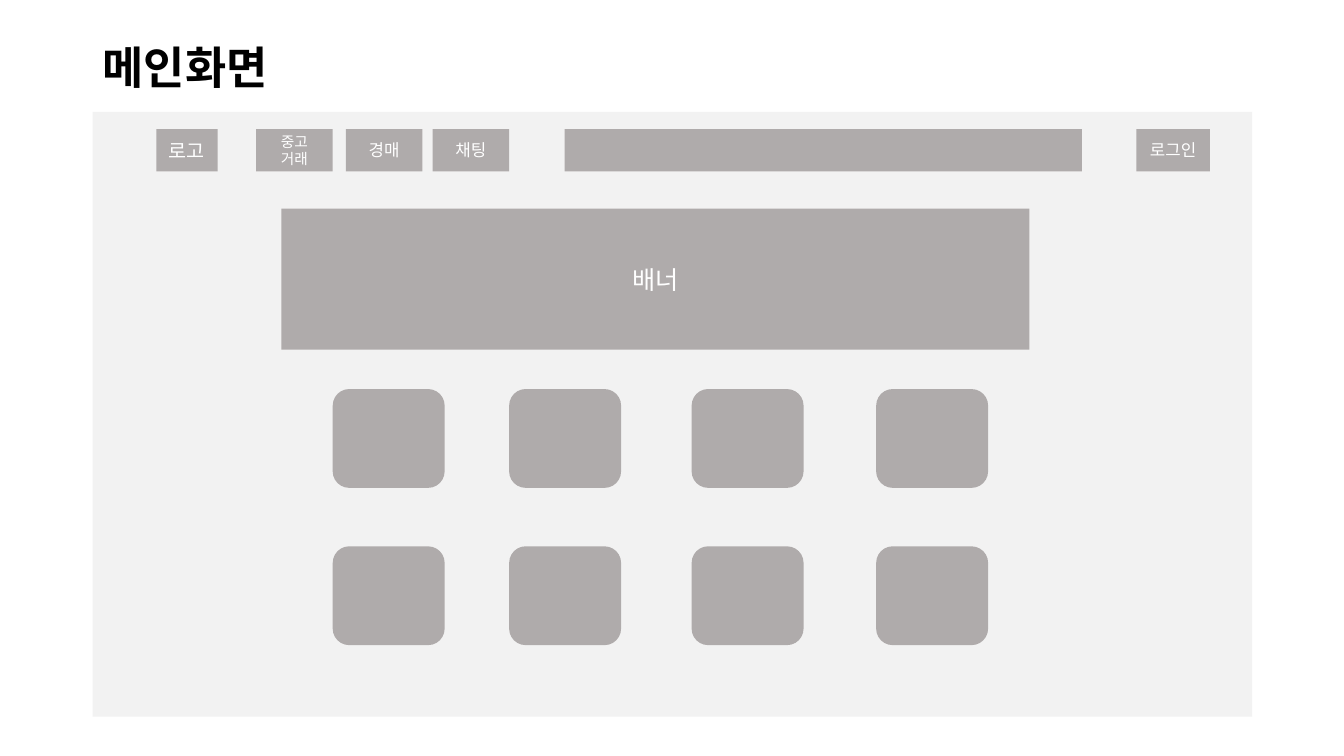
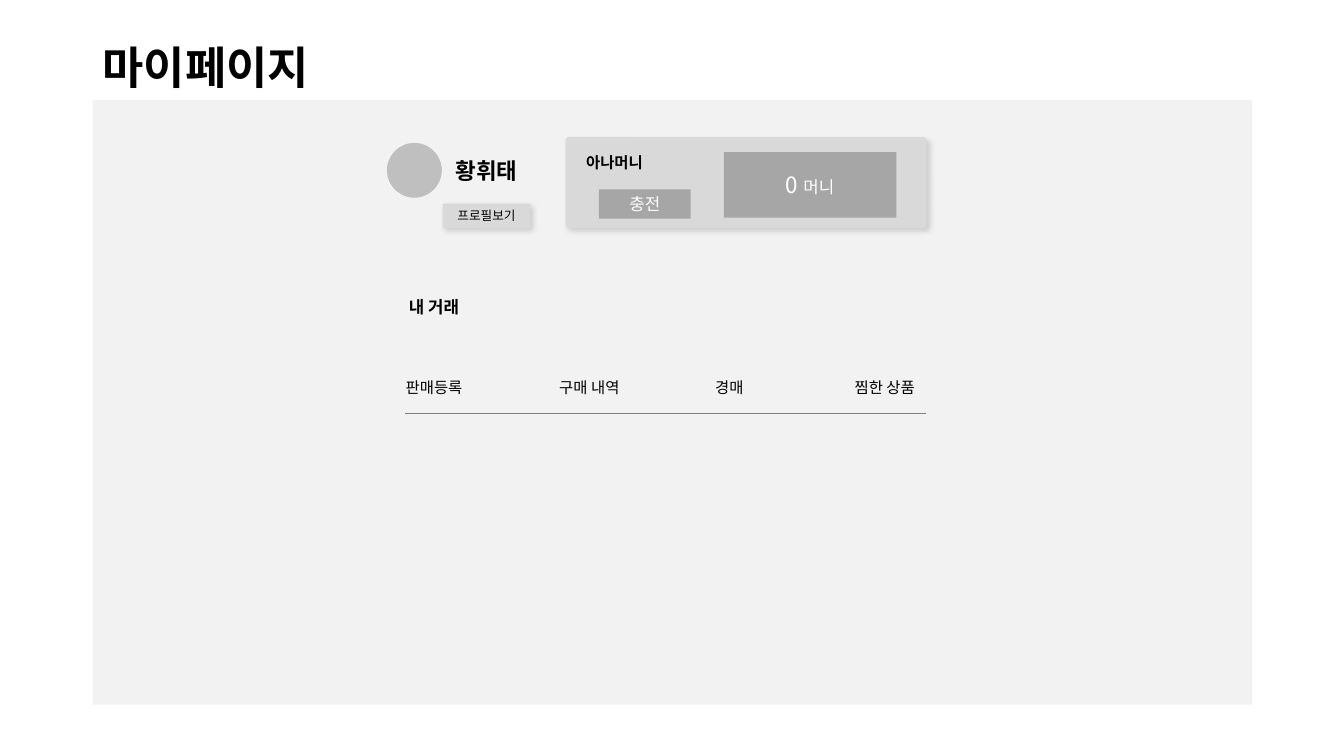
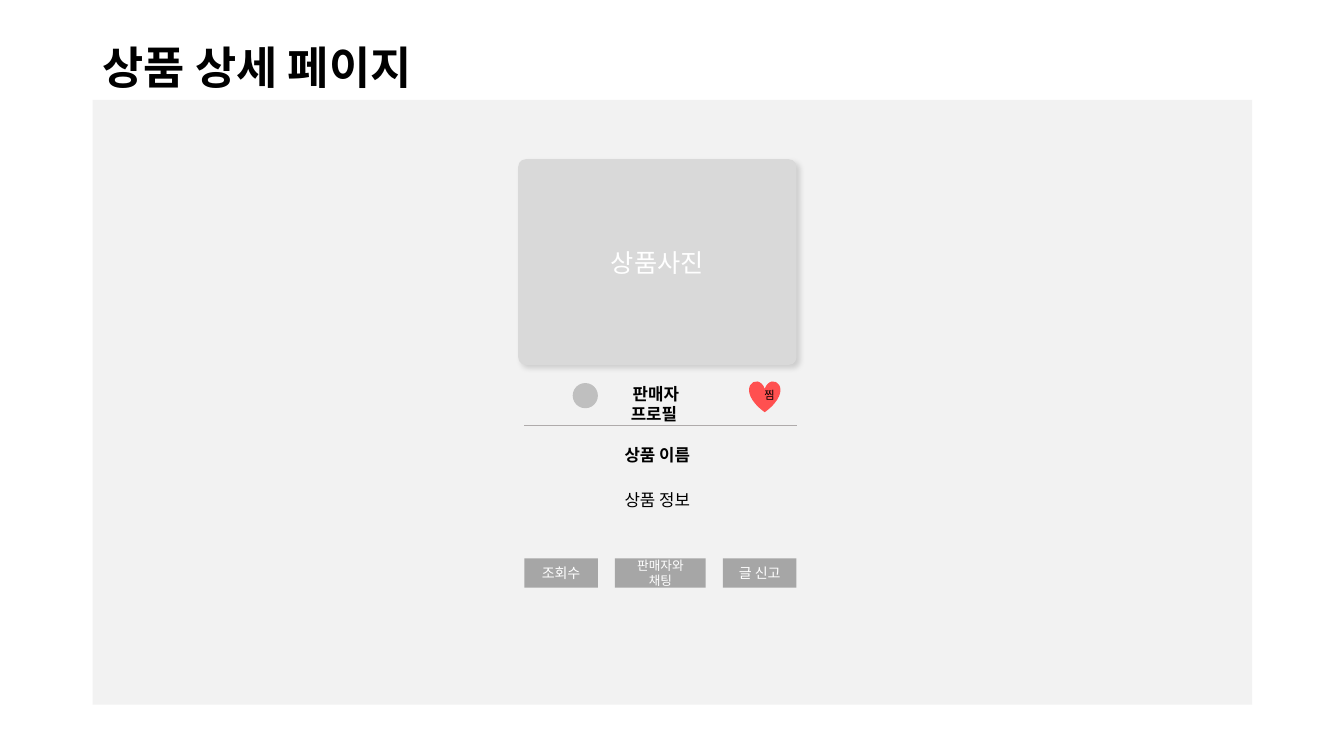
from lxml import etree
from pptx import Presentation
from pptx.dml.color import RGBColor
from pptx.enum.shapes import MSO_CONNECTOR, MSO_SHAPE
from pptx.enum.text import MSO_ANCHOR, PP_ALIGN
from pptx.oxml.ns import qn
from pptx.util import Emu, Pt

PX = 9144  # 100 px to the inch
FONT = "Noto Sans CJK KR"

BLACK = RGBColor(0x00, 0x00, 0x00)
WHITE = RGBColor(0xFF, 0xFF, 0xFF)
PANEL = RGBColor(0xF2, 0xF2, 0xF2)
CARD = RGBColor(0xD9, 0xD9, 0xD9)
AVATAR = RGBColor(0xBF, 0xBF, 0xBF)
WARM_GRAY = RGBColor(0xAF, 0xAB, 0xAB)
BUTTON = RGBColor(0xA6, 0xA6, 0xA6)
RULE = RGBColor(0x80, 0x80, 0x80)
HEART_RED = RGBColor(0xFF, 0x50, 0x50)

RECT = MSO_SHAPE.RECTANGLE
ROUNDED = MSO_SHAPE.ROUNDED_RECTANGLE
OVAL = MSO_SHAPE.OVAL
HEART = MSO_SHAPE.HEART
STRAIGHT = MSO_CONNECTOR.STRAIGHT
LEFT = PP_ALIGN.LEFT
CENTER = PP_ALIGN.CENTER
MIDDLE = MSO_ANCHOR.MIDDLE


def px(*lengths):
    return [Emu(length * PX) for length in lengths]


def format_span(span, size, color, bold=False):
    """Style a run, naming the font for Latin and Korean letters alike."""
    font = span.font
    font.name = FONT
    font.size = Pt(size)
    font.bold = bold
    font.color.rgb = color
    latin = font._element.find(qn("a:latin"))
    east_asian = etree.Element(qn("a:ea"), typeface=FONT)
    latin.addnext(east_asian)


def write(box, text, size, color, bold=False, align=CENTER):
    para = box.text_frame.paragraphs[0]
    para.text = text
    para.alignment = align
    format_span(para.runs[0], size, color, bold)
    return para


def add_shape(page, kind, area, fill, text="", size=12, color=WHITE):
    shape = page.shapes.add_shape(kind, *px(*area))
    shape.shadow.inherit = False
    shape.fill.solid()
    shape.fill.fore_color.rgb = fill
    shape.line.fill.background()
    if text:
        write(shape, text, size, color)
    return shape


def add_card(page, area, text="", size=12, color=WHITE):
    """Add a slightly rounded card with a soft shadow to the lower right."""
    card = add_shape(page, ROUNDED, area, CARD, text, size, color)
    card.adjustments[0] = 0.037
    effects = card._element.spPr.find(qn("a:effectLst"))
    shadow = etree.SubElement(
        effects, qn("a:outerShdw"), blurRad=str(Pt(4)), dist=str(Pt(3)),
        dir=str(45 * 60000), algn="tl", rotWithShape="0")
    shade = etree.SubElement(shadow, qn("a:srgbClr"), val=str(BLACK))
    etree.SubElement(shade, qn("a:alpha"), val="15000")


def add_label(page, area, text, size, bold=False, align=CENTER):
    box = page.shapes.add_textbox(*px(*area))
    box.text_frame.word_wrap = True
    write(box, text, size, BLACK, bold, align)
    return box


def add_rule(page, left, right, y, color):
    rule = page.shapes.add_connector(STRAIGHT, *px(left, y, right, y))
    rule.line.color.rgb = color
    rule.line.width = Pt(0.5)
    etree.SubElement(rule._element.spPr, qn("a:effectLst"))


def add_page(deck, title, panel_top=99):
    page = deck.slides.add_slide(deck.slide_layouts[6])
    box = add_label(page, (92, 40, 1150, 59), title, 32, True, LEFT)
    box.text_frame.vertical_anchor = MIDDLE
    box.text_frame.paragraphs[0].line_spacing = 0.9
    add_shape(page, RECT, (92, panel_top, 1150, 600), PANEL)
    return page


def build_main_screen(deck):
    page = add_page(deck, "메인화면", panel_top=111)
    menu = [
        (155, 61, "로고", 14),
        (254, 76, "중고 거래", 10.5),
        (343, 76, "경매", 12),
        (429, 76, "채팅", 12),
        (560, 513, "", 12),
        (1127, 73, "로그인", 12),
    ]
    for left, width, text, size in menu:
        add_shape(page, RECT, (left, 128, width, 42), WARM_GRAY, text, size)
    add_shape(page, RECT, (279, 207, 742, 140), WARM_GRAY, "배너", 18)
    for top in (386, 542):
        for left in (330, 505, 686, 869):
            add_shape(page, ROUNDED, (left, top, 111, 98), WARM_GRAY)


def build_my_page(deck):
    page = add_page(deck, "마이페이지")

    avatar = add_shape(page, OVAL, (383, 141, 56, 56), AVATAR)
    avatar.line.color.rgb = PANEL
    avatar.line.width = Pt(1)
    add_label(page, (439, 151, 87, 37), "황휘태", 16, True)
    add_card(page, (439, 202, 87, 24), "프로필보기", 9, BLACK)

    add_card(page, (561, 136, 358, 90))
    add_label(page, (564, 147, 91, 29), "아나머니", 11, True)
    add_shape(page, RECT, (594, 188, 91, 29), BUTTON, "충전", 12)
    balance = add_shape(page, RECT, (718, 151, 171, 65), BUTTON, "0 ", 16)
    unit = balance.text_frame.paragraphs[0].add_run()
    unit.text = "머니"
    format_span(unit, 12, WHITE)

    add_label(page, (378, 289, 105, 30), "내 거래", 12, True)
    tabs = {390: "판매등록", 544: "구매 내역", 683: "경매", 837: "찜한 상품"}
    for left, text in tabs.items():
        add_label(page, (left, 370, 81, 29), text, 11)
    add_rule(page, 402, 918, 410, RULE)


def build_product_page(deck):
    page = add_page(deck, "상품 상세 페이지")
    add_card(page, (514, 158, 276, 204), "상품사진", 18)

    add_shape(page, OVAL, (568, 380, 25, 25), AVATAR)
    add_label(page, (593, 376, 115, 30), "판매자 프로필 ", 12, True)
    add_shape(page, HEART, (743, 378, 31, 31), HEART_RED, "찜", 8, BLACK)
    add_rule(page, 520, 790, 422, WARM_GRAY)

    add_label(page, (514, 436, 276, 30), "상품 이름", 12, True)
    add_label(page, (514, 481, 276, 30), "상품 정보", 12)

    buttons = [
        (520, 73, "조회수", 10),
        (610, 90, "판매자와 채팅", 9),
        (717, 73, "글 신고", 10),
    ]
    for left, width, text, size in buttons:
        add_shape(page, RECT, (left, 554, width, 29), BUTTON, text, size)


def main():
    deck = Presentation()
    deck.slide_width, deck.slide_height = px(1333, 750)
    build_main_screen(deck)
    build_my_page(deck)
    build_product_page(deck)
    deck.save("out.pptx")


if __name__ == "__main__":
    main()
